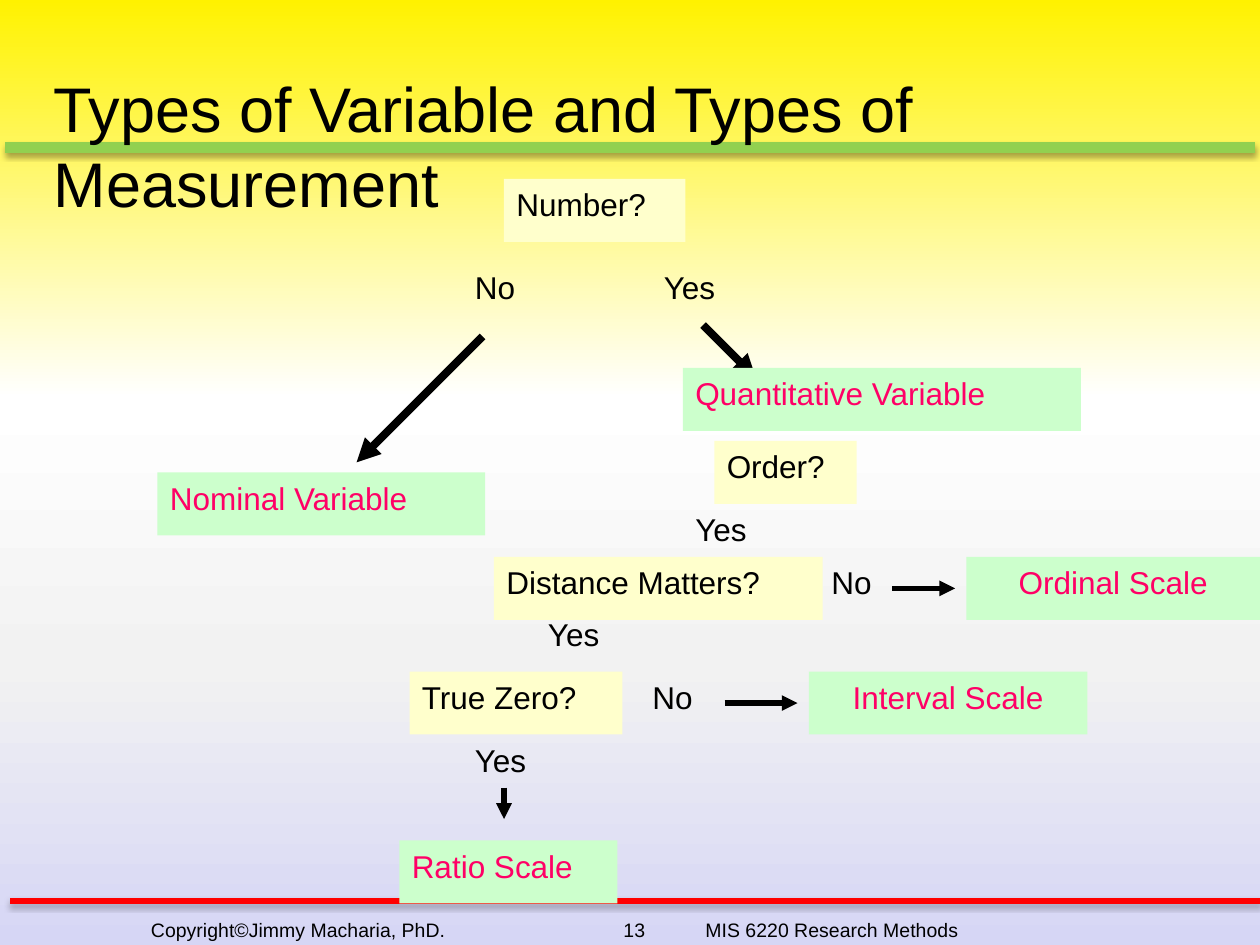
from pptx import Presentation, util as u
from pptx.dml.color import RGBColor
from pptx.enum import shapes, text
from pptx.oxml import parse_xml
from pptx.oxml.ns import nsdecls

SIZE = (10, 7.5)
BLACK, PINK, CREAM, MINT = "000000", "FF0066", "FFFFCC", "CCFFCC"
ROW_H = 0.5
BACKGROUND = [(0, "FFF200"), (42, "FFFFFF"), (70, "F2F2F2"), (100, "D6D6F5")]
TITLE = "Types of Variable and Types of Measurement"
FOOTER = ["Copyright©Jimmy Macharia, PhD.", "13", "MIS 6220 Research Methods"]
FOOTER_TABS = [3.75, 4.4]

# start, end, colour, width
RULES = [((0.04, 1.17), (9.96, 1.17), "92D050", 6),
         ((0.08, 7.15), (10, 7.15), "FF0000", 3)]
# start, end, width
ARROWS = [((3.83, 2.67), (2.83, 3.67), 4.5),
          ((5.58, 2.58), (6, 3), 4.5),
          ((4, 6.25), (4, 6.5), 3),
          ((5.75, 5.58), (6.33, 5.58), 3),
          ((7.08, 4.67), (7.58, 4.67), 3)]
# wording, left, top, width
QUESTIONS = [("Number?", 4, 1.42, 1.44),
             ("Order?", 5.67, 3.5, 1.13),
             ("Distance Matters?", 3.92, 4.42, 2.61),
             ("True Zero?", 3.25, 5.33, 1.69)]
RESULTS = [("Nominal Variable", 1.25, 3.75, 2.6),
           ("Quantitative Variable", 5.42, 2.92, 3.16),
           ("Ratio Scale", 3.17, 6.67, 1.73)]
SCALES = [("Ordinal Scale", 7.67, 4.42, 2.33),
          ("Interval Scale", 6.42, 5.33, 2.21)]
# left, top
ANSWERS = {"No": [(3.67, 2.08), (5.08, 5.33), (6.5, 4.42)],
           "Yes": [(5.17, 2.08), (5.42, 4), (4.25, 4.83), (3.67, 5.83)]}
ANSWER_W = {"No": 0.61, "Yes": 0.72}


def rgb(value):
    return RGBColor.from_string(value)


def write(sp, wording, size=18, color=BLACK, align=text.PP_ALIGN.LEFT):
    tf = sp.text_frame
    tf.word_wrap = True
    tf.vertical_anchor = text.MSO_ANCHOR.TOP
    tf.text = wording
    p = tf.paragraphs[0]
    p.alignment = align
    for r in p.runs:
        r.font.name, r.font.size = "Arial", u.Pt(size)
        r.font.color.rgb = rgb(color)
    return p


def add_label(s, wording, left, top, width, height=ROW_H, size=18):
    box = s.shapes.add_textbox(*map(u.Inches, (left, top, width, height)))
    return write(box, wording, size)


def add_box(s, spot, fill, color, align=text.PP_ALIGN.LEFT):
    wording, left, top, width = spot
    sp = s.shapes.add_shape(shapes.MSO_SHAPE.RECTANGLE,
                            *map(u.Inches, (left, top, width, ROW_H)))
    sp.shadow.inherit = False
    sp.fill.solid()
    sp.fill.fore_color.rgb = rgb(fill)
    sp.line.fill.background()
    write(sp, wording, color=color, align=align)


def add_line(s, start, end, color, width, effect=""):
    line = s.shapes.add_connector(shapes.MSO_CONNECTOR.STRAIGHT,
                                  *map(u.Inches, start + end))
    line.line.color.rgb = rgb(color)
    line.line.width = u.Pt(width)
    line._element.spPr.append(
        parse_xml(f'<a:effectLst {nsdecls("a")}>{effect}</a:effectLst>'))
    return line


def add_arrow(s, start, end, width):
    line = add_line(s, start, end, BLACK, width)
    line.line._get_or_add_ln().append(
        parse_xml(f'<a:tailEnd {nsdecls("a")} type="triangle"/>'))


def paint_background(s):
    stops = "".join(f'<a:gs pos="{pos * 1000}"><a:srgbClr val="{color}"/></a:gs>'
                    for pos, color in BACKGROUND)
    s._element.cSld.insert(0, parse_xml(
        f'<p:bg {nsdecls("p", "a")}><p:bgPr><a:gradFill rotWithShape="1">'
        f'<a:gsLst>{stops}</a:gsLst><a:lin ang="5400000" scaled="0"/>'
        '</a:gradFill><a:effectLst/></p:bgPr></p:bg>'))


def add_footer(s):
    p = add_label(s, "\t".join(FOOTER), 1.1, 7.24, 8.9, 0.29, 11.1)
    tabs = "".join(f'<a:tab pos="{u.Inches(pos)}" algn="l"/>' for pos in FOOTER_TABS)
    p._p.get_or_add_pPr().append(
        parse_xml(f'<a:tabLst {nsdecls("a")}>{tabs}</a:tabLst>'))


def main():
    prs = Presentation()
    prs.slide_width, prs.slide_height = map(u.Inches, SIZE)
    s = prs.slides.add_slide(prs.slide_layouts[6])
    paint_background(s)
    shadow = ('<a:outerShdw blurRad="40000" dist="23000" dir="5400000" rotWithShape="0">'
              '<a:srgbClr val="000000"><a:alpha val="35000"/></a:srgbClr></a:outerShdw>')
    for rule in RULES:
        add_line(s, *rule, shadow)
    add_footer(s)
    add_label(s, TITLE, 0.33, 0.5, 9.52, 0.7, 36)
    for arrow in ARROWS:
        add_arrow(s, *arrow)
    for spot in QUESTIONS:
        add_box(s, spot, CREAM, BLACK)
    for spot in RESULTS:
        add_box(s, spot, MINT, PINK)
    for spot in SCALES:
        add_box(s, spot, MINT, PINK, text.PP_ALIGN.CENTER)
    for answer, places in ANSWERS.items():
        for left, top in places:
            add_label(s, answer, left, top, ANSWER_W[answer])
    prs.save("out.pptx")


if __name__ == "__main__":
    main()
